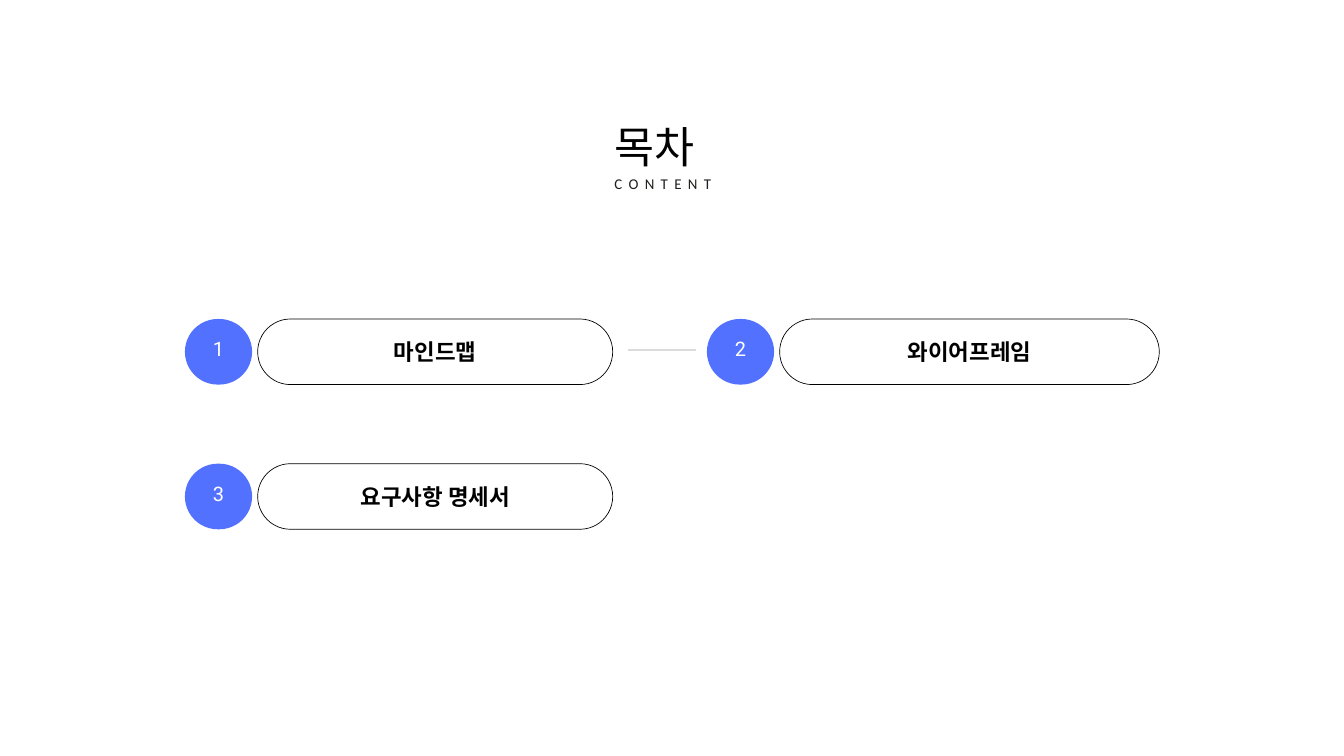
from lxml import etree
from pptx import Presentation, util as u
from pptx.dml.color import RGBColor
from pptx.enum import shapes, text
from pptx.oxml.ns import qn

COLORS = {"black": "000000", "ink": "211F1C", "white": "FFFFFF",
          "blue": "5271FF", "gray": "DBDBDB"}
KOREAN = "Noto Sans CJK KR"


def write(shape, words, size, font, color, bold=False, align=text.PP_ALIGN.CENTER,
          leading=None, tracking=0, inset=0.0, anchor=text.MSO_ANCHOR.MIDDLE):
    """Fill a shape with one styled paragraph; leading and tracking are in points."""
    frame = shape.text_frame
    frame.word_wrap = True
    frame.vertical_anchor = anchor
    frame.margin_left = frame.margin_right = u.Cm(inset)
    frame.margin_top = frame.margin_bottom = u.Cm(inset)
    paragraph = frame.paragraphs[0]
    paragraph.text = words
    paragraph.alignment = align
    if leading:
        paragraph.line_spacing = u.Pt(leading)
    paragraph.font.size = u.Pt(size)
    paragraph.font.bold = bold
    paragraph.font.color.rgb = RGBColor.from_string(COLORS[color])
    paragraph.font.name = font
    properties = paragraph._p.pPr.find(qn("a:defRPr"))
    properties.set("spc", str(round(tracking * 100)))
    etree.SubElement(properties, qn("a:ea")).set("typeface", font)


def add_pill(left, top, width, height, fill, line=None):
    shape = slide.shapes.add_shape(shapes.MSO_SHAPE.ROUNDED_RECTANGLE,
                                   u.Cm(left), u.Cm(top), u.Cm(width), u.Cm(height))
    shape.adjustments[0] = 0.5
    shape.shadow.inherit = False
    shape.fill.solid()
    shape.fill.fore_color.rgb = RGBColor.from_string(COLORS[fill])
    if line:
        shape.line.color.rgb = RGBColor.from_string(COLORS[line])
        shape.line.width = u.Pt(0.75)
    else:
        shape.line.fill.background()
    return shape


presentation = Presentation()
presentation.slide_width = u.Cm(50.8)
presentation.slide_height = u.Cm(28.58)
slide = presentation.slides.add_slide(presentation.slide_layouts[6])

# Heading
title = slide.shapes.add_textbox(u.Cm(23.24), u.Cm(4.11), u.Cm(3.89), u.Cm(2.34))
write(title, "목차", 46.6, KOREAN, "black", align=text.PP_ALIGN.LEFT,
      leading=68.5, anchor=text.MSO_ANCHOR.TOP)
subtitle = slide.shapes.add_textbox(u.Cm(19.48), u.Cm(6.45), u.Cm(11.15), u.Cm(0.81))
write(subtitle, "CONTENT", 16, "Calibri", "ink", leading=23.5, tracking=6.8,
      anchor=text.MSO_ANCHOR.TOP)

# Numbered entries, filled row by row in two columns
columns = [(6.99, 13.42), (26.72, 14.35)]  # badge left, label width
first_top, row_pitch, height = 12.06, 5.47, 2.48
badge_width, label_offset, number_lift = 2.54, 2.75, 0.42

for index, label in enumerate(["마인드맵", "와이어프레임", "요구사항 명세서"]):
    row, column = divmod(index, len(columns))
    left, label_width = columns[column]
    top = first_top + row * row_pitch

    pill = add_pill(left + label_offset, top, label_width, height, "white", "black")
    write(pill, label, 24, KOREAN, "black", bold=True, inset=0.25)

    add_pill(left, top, badge_width, height, "blue")
    number = slide.shapes.add_textbox(u.Cm(left), u.Cm(top - number_lift),
                                      u.Cm(badge_width), u.Cm(height + number_lift))
    write(number, str(index + 1), 21.4, "Roboto", "white", leading=31.4,
          tracking=3.1, inset=0.1)

# Link between the entries of the first row
link = slide.shapes.add_connector(shapes.MSO_CONNECTOR.STRAIGHT,
                                  u.Cm(23.72), u.Cm(13.23), u.Cm(26.29), u.Cm(13.23))
link.line.color.rgb = RGBColor.from_string(COLORS["gray"])
link.line.width = u.Pt(3)
etree.SubElement(link._element.spPr, qn("a:effectLst"))

presentation.save("out.pptx")
